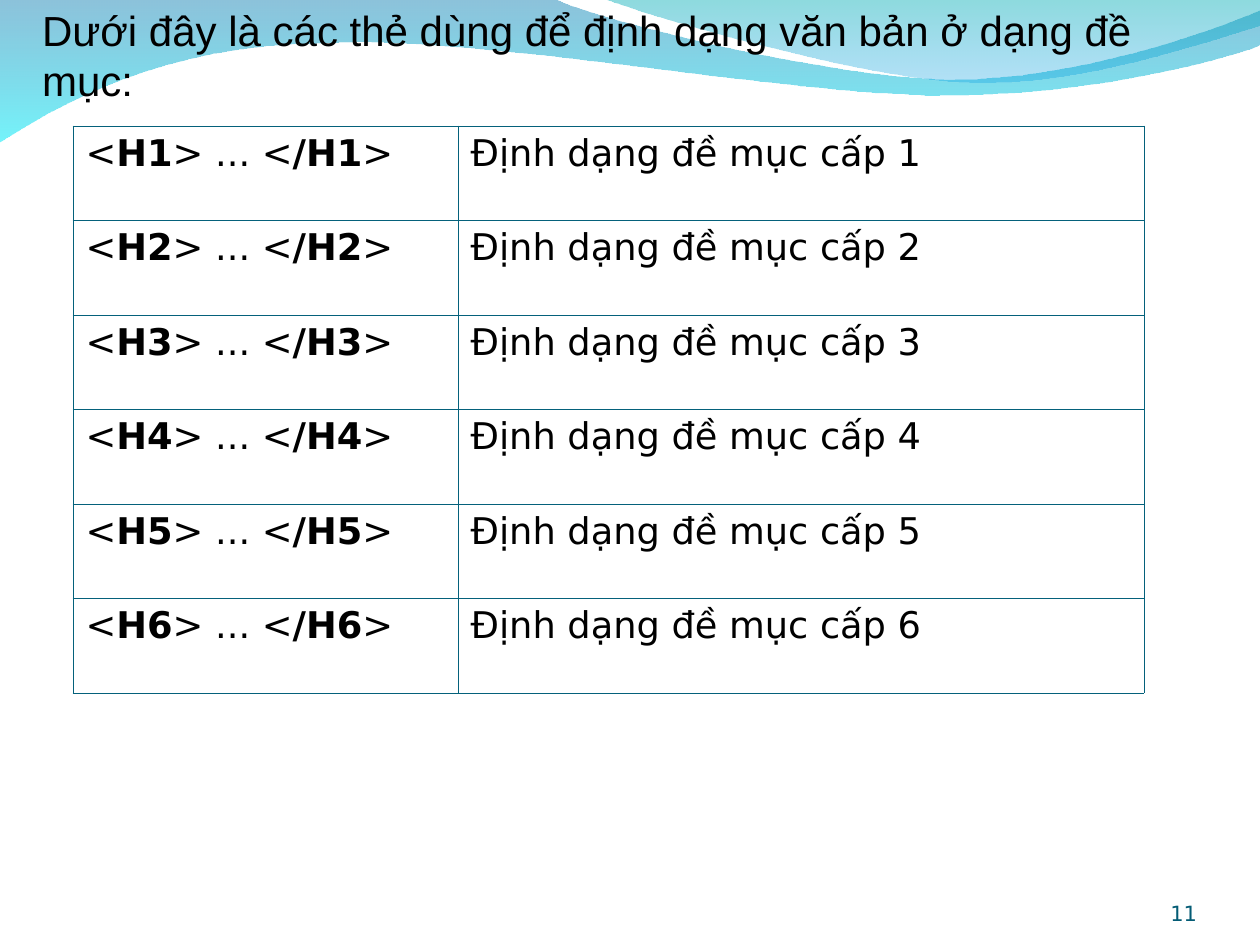
from lxml.etree import SubElement
from pptx import Presentation
from pptx.dml.color import RGBColor
from pptx.enum.text import MSO_ANCHOR, MSO_AUTO_SIZE, PP_ALIGN
from pptx.oxml.ns import qn
from pptx.util import Pt

EMU_PER_PX = 914400 / 126
BLACK = RGBColor(0x00, 0x00, 0x00)
BORDER_TEAL = RGBColor(0x04, 0x61, 0x7B)
NUMBER_TEAL = RGBColor(0x04, 0x5C, 0x75)
WAVE_BLUE = RGBColor(0x00, 0x79, 0xAF)
WAVE_CYAN = RGBColor(0x00, 0xEB, 0xF8)
CREST_TEAL = RGBColor(0x00, 0xAD, 0xB6)
CREST_BLUE = RGBColor(0x00, 0x9B, 0xE5)
BODY_FONT = "DejaVu Sans"
PLAIN_TABLE_STYLE = "{2D5ABB26-0587-4C30-8999-92F81FD0307C}"

# Each outline: start point, then lines (one point) or cubic curves (three points)
WAVE = [
    [(0, -1)],
    [(554, -1)],
    [(600, 21), (837, 79), (955, 79)],
    [(1075, 79), (1207, 33), (1260, 11)],
    [(1261, 45)],
    [(1239, 55), (1096, 96), (940, 95)],
    [(784, 95), (481, 35), (324, 43)],
    [(163, 44), (58, 105), (-1, 142)],
]
CREST = [
    [(604, -1)],
    [(641, 14), (859, 78), (969, 82)],
    [(1079, 87), (1211, 40), (1260, 26)],
    [(1260, 0)],
]


def px(length):
    return round(length * EMU_PER_PX)


def place(shape, left, top, width, height):
    shape.left, shape.top = px(left), px(top)
    shape.width, shape.height = px(width), px(height)


def format_font(font, name, size, color):
    font.name, font.size = name, Pt(size)
    font.color.rgb = color


def set_margins(text_frame, top=0):
    text_frame.margin_left = text_frame.margin_right = text_frame.margin_bottom = 0
    text_frame.margin_top = px(top)


def build_outline(slide, segments):
    """Build a freeform, then turn each three-point segment into a cubic curve."""
    start, *others = [(px(x), px(y)) for segment in segments for x, y in segment]
    builder = slide.shapes.build_freeform(*start, scale=1.0)
    builder.add_line_segments(others, close=True)
    shape = builder.convert_to_shape()
    lines = iter(list(shape.element.spPr.iter(qn("a:lnTo"))))
    for segment in segments[1:]:
        parts = [next(lines) for point in segment]
        if len(parts) == 3:
            curve = parts[0].makeelement(qn("a:cubicBezTo"))
            parts[0].addprevious(curve)
            for part in parts:
                curve.append(part[0])
                part.getparent().remove(part)
    return shape


def add_wave(slide, segments, stops):
    """Draw an outline with a vertical gradient; stops are (colour, opacity)."""
    shape = build_outline(slide, segments)
    shape.shadow.inherit = False
    shape.line.fill.background()
    shape.fill.gradient()
    shape.fill.gradient_angle = 270
    for stop, position, (color, opacity) in zip(shape.fill.gradient_stops, (0, 1), stops):
        stop.position = position
        stop.color.rgb = color
    color_elements = shape.element.spPr.iter(qn("a:srgbClr"))
    for element, (color, opacity) in zip(list(color_elements), stops):
        SubElement(element, qn("a:alpha"), val=str(opacity * 1000))


def add_title(slide, text):
    title = slide.shapes.title
    place(title, 42, 21, 1124, 84)
    # Bring the title in front of the waves
    title.element.getparent().append(title.element)
    text_frame = title.text_frame
    text_frame.text = text
    text_frame.word_wrap = True
    text_frame.auto_size = MSO_AUTO_SIZE.NONE
    text_frame.vertical_anchor = MSO_ANCHOR.BOTTOM
    set_margins(text_frame, top=6)
    paragraph = text_frame.paragraphs[0]
    paragraph.alignment = PP_ALIGN.LEFT
    format_font(paragraph.runs[0].font, "Arial", 24, BLACK)


def set_borders(cell):
    properties = cell._tc.get_or_add_tcPr()
    for index, side in enumerate(("lnL", "lnR", "lnT", "lnB")):
        line = properties.makeelement(qn(f"a:{side}"), w=str(Pt(0.45)))
        fill = SubElement(line, qn("a:solidFill"))
        SubElement(fill, qn("a:srgbClr"), val=str(BORDER_TEAL))
        properties.insert(index, line)


def fill_cell(cell, pieces):
    """Write (text, bold) pieces with a hanging indent."""
    cell.fill.background()
    set_borders(cell)
    paragraph = cell.text_frame.paragraphs[0]
    properties = paragraph._p.get_or_add_pPr()
    properties.set("marL", str(px(48)))
    properties.set("indent", str(-px(48)))
    for text, bold in pieces:
        run = paragraph.add_run()
        run.text = text
        run.font.bold = bold
        format_font(run.font, BODY_FONT, 21, BLACK)


def add_heading_table(slide, levels):
    frame = slide.shapes.add_table(levels, 2, px(73), px(126), px(1071), px(567))
    table = frame.table
    table.first_row = table.horz_banding = False
    table._tbl.tblPr.find(qn("a:tableStyleId")).text = PLAIN_TABLE_STYLE
    for column, width in zip(table.columns, (385, 686)):
        column.width = px(width)
    for level in range(1, levels + 1):
        tag = f"H{level}"
        fill_cell(table.cell(level - 1, 0), [
            ("<", False), (tag, True), ("> ... <", False), (f"/{tag}", True), (">", False)])
        fill_cell(table.cell(level - 1, 1), [(f"Định dạng đề mục cấp {level}", False)])


def add_slide_number(slide, number):
    box = slide.shapes.add_textbox(px(1092), px(876), px(105), px(50))
    text_frame = box.text_frame
    text_frame.text = str(number)
    text_frame.word_wrap = True
    text_frame.vertical_anchor = MSO_ANCHOR.BOTTOM
    set_margins(text_frame)
    paragraph = text_frame.paragraphs[0]
    paragraph.alignment = PP_ALIGN.RIGHT
    format_font(paragraph.runs[0].font, BODY_FONT, 12, NUMBER_TEAL)


def main():
    presentation = Presentation()
    presentation.slide_width, presentation.slide_height = px(1260), px(945)
    slide = presentation.slides.add_slide(presentation.slide_layouts[5])

    # Header waves
    add_wave(slide, WAVE, [(WAVE_BLUE, 45), (WAVE_CYAN, 55)])
    add_wave(slide, CREST, [(CREST_TEAL, 45), (CREST_BLUE, 30)])

    # Content
    add_title(slide, "Dưới đây là các thẻ dùng để định dạng văn bản ở dạng đề mục:")
    add_heading_table(slide, 6)
    add_slide_number(slide, 11)

    presentation.save("out.pptx")


if __name__ == "__main__":
    main()
